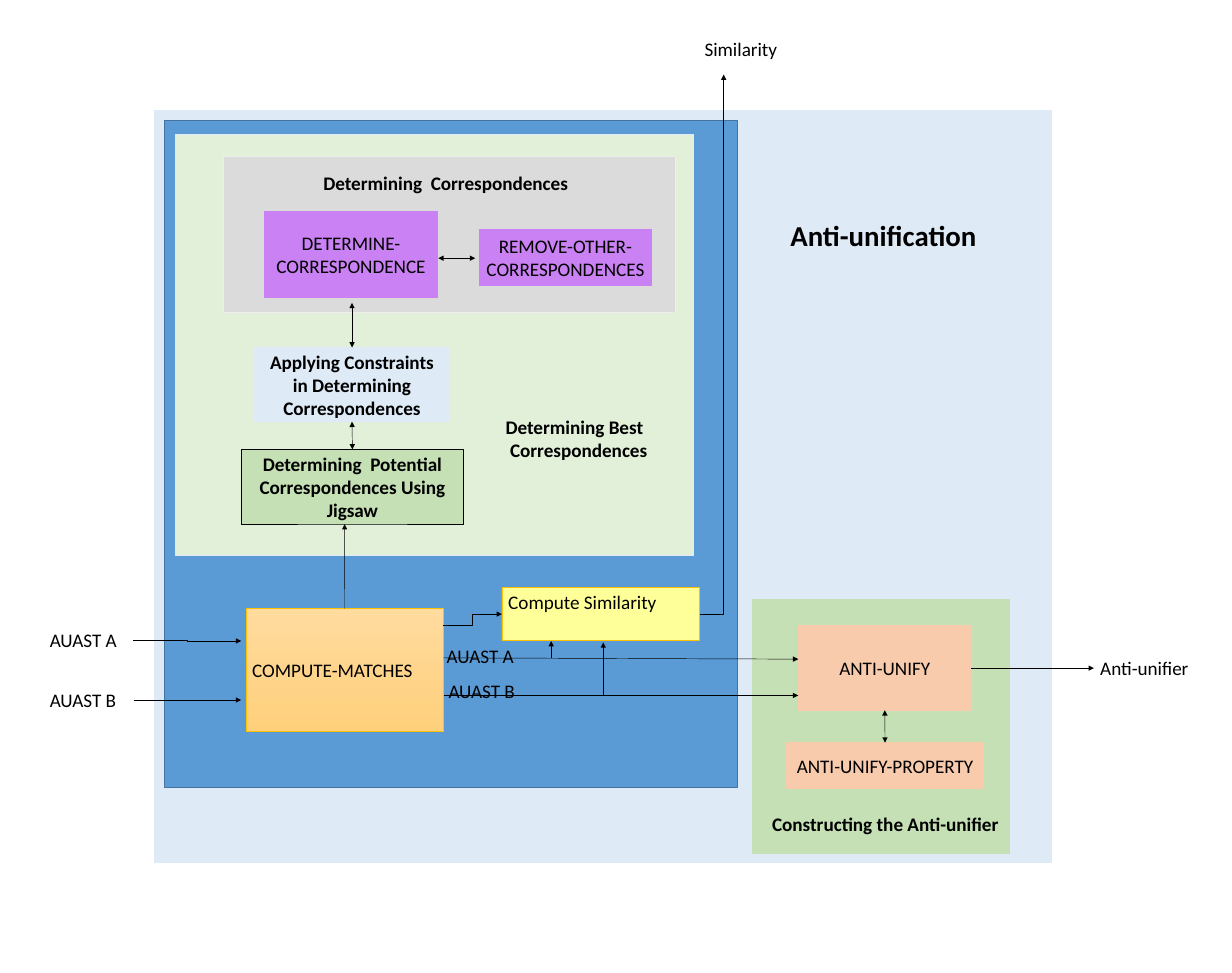
"""Build the anti-unification architecture diagram."""
from lxml import etree
from pptx import Presentation
from pptx import util as u
from pptx.dml.color import RGBColor
from pptx.enum import shapes, text
from pptx.oxml.ns import qn

FONT = "Calibri"
BODY, TITLE = 21.3, 32
COLORS = {
    "black": "000000", "pale blue": "DEEBF7", "blue": "5B9BD5",
    "dark blue": "43739E", "pale green": "E2F0D9", "green": "C5E0B4",
    "gray": "DBDBDB", "pale gray": "EDEDED", "purple": "CA81F3",
    "peach": "F8CBAD", "yellow": "FFFF99", "gold": "FFC000",
    "light orange": "FFDB9E", "orange": "FFD07C",
}
LEFT, CENTER = text.PP_ALIGN.LEFT, text.PP_ALIGN.CENTER
TOP, MIDDLE = text.MSO_ANCHOR.TOP, text.MSO_ANCHOR.MIDDLE

# name: (left, top, width, height), fill, line, line width
PANELS = {
    "anti-unification": ((6.07, 4.34, 35.1, 29.44), "pale blue", "pale blue", 1),
    "similarity": ((6.45, 4.72, 22.43, 26.11), "blue", "dark blue", 1),
    "best": ((6.86, 5.26, 20.32, 16.48), "pale green", "pale blue", 1),
    "correspondences": ((8.74, 6.12, 17.73, 6.12), "gray", "pale gray", 1),
    "constructing": ((29.46, 23.47, 10.08, 9.96), "green", "green", 1),
    "potential": ((9.45, 17.6, 8.71, 2.92), "green", "black", 1),
    "constraints": ((9.98, 13.61, 7.62, 2.9), "pale blue", "pale blue", 1),
    "remove": ((18.77, 8.99, 6.76, 2.18), "purple", "purple", 1),
    "determine": ((10.36, 8.28, 6.78, 3.35), "purple", "purple", 1),
    "anti-unify": ((31.27, 24.51, 6.78, 3.3), "peach", "peach", 1),
    "property": ((30.81, 29.08, 7.72, 1.78), "peach", "peach", 1),
    "matches": ((9.63, 23.83, 7.75, 4.8), ("light orange", "orange"), "gold", 0.5),
    "compute": ((19.66, 23.01, 7.75, 2.08), "yellow", "gold", 0.5),
}
# name: wording, bold, alignment, anchor
PANEL_TEXTS = {
    "potential": ("Determining  Potential Correspondences Using Jigsaw", True, CENTER, MIDDLE),
    "constraints": ("Applying Constraints in Determining Correspondences", True, CENTER, MIDDLE),
    "remove": ("REMOVE-OTHER-CORRESPONDENCES", False, CENTER, MIDDLE),
    "determine": ("DETERMINE-CORRESPONDENCE", False, CENTER, MIDDLE),
    "anti-unify": ("ANTI-UNIFY", False, CENTER, MIDDLE),
    "property": ("ANTI-UNIFY-PROPERTY", False, CENTER, MIDDLE),
    "matches": ("COMPUTE-MATCHES", False, LEFT, MIDDLE),
    "compute": ("Compute Similarity", False, LEFT, TOP),
}
# (left, top, width, height), lines, bold, alignment, size
LABELS = [
    ((10.21, 6.6, 14.5, 1.17), ["Determining  Correspondences"], True, CENTER, BODY),
    ((18.62, 16.13, 8.1, 2.08), ["Determining Best  ", "Correspondences"], True, CENTER, BODY),
    ((29.72, 31.67, 9.92, 1.17), ["Constructing the Anti-unifier"], True, CENTER, BODY),
    ((30.71, 8.41, 8.84, 1.63), ["Anti-unification"], True, LEFT, TITLE),
    ((27.18, 1.35, 4.5, 1.17), [" Similarity"], False, LEFT, BODY),
    ((42.85, 25.58, 4.5, 1.17), ["Anti-unifier"], False, LEFT, BODY),
    ((1.7, 24.49, 3.53, 1.17), ["AUAST A"], False, LEFT, BODY),
    ((1.7, 26.82, 3.53, 1.17), ["AUAST B"], False, LEFT, BODY),
    ((17.25, 25.1, 3.53, 1.17), ["AUAST A"], False, LEFT, BODY),
    ((17.32, 26.49, 3.53, 1.17), ["AUAST B"], False, LEFT, BODY),
]
# geometry, start, end, both heads, (panel, side) at start, (panel, side) at end
ARROWS = [
    ("line", (17.17, 10.11), (18.62, 10.11), True, None, None),
    ("line", (34.66, 27.81), (34.67, 29.08), True, ("anti-unify", 2), ("property", 0)),
    ("line", (13.8, 17.6), (13.79, 16.51), True, ("potential", 0), ("constraints", 2)),
    ("line", (13.79, 13.61), (13.79, 11.86), True, ("constraints", 0), None),
    ("line", (13.5, 23.83), (13.5, 20.52), False, ("matches", 0), None),
    ("line", (38.05, 26.16), (42.85, 26.16), False, ("anti-unify", 3), None),
    ("line", (17.38, 25.76), (31.27, 25.81), False, None, None),
    ("line", (17.38, 27.23), (31.27, 27.23), False, None, None),
    ("line", (21.59, 25.78), (21.59, 25.1), False, None, None),
    ("line", (23.63, 27.23), (23.63, 25.15), False, None, None),
    ("line", (5.23, 27.41), (9.45, 27.41), False, None, None),
    ("bentConnector3", (5.23, 25.07), (9.45, 25.1), False, None, None),
    ("bentConnector3", (17.35, 24.49), (19.66, 24.05), False, None, None),
    ("bentConnector2", (27.41, 24.05), (28.35, 2.92), False, None, None),
]


def rgb(name):
    return RGBColor.from_string(COLORS[name])


def lengths(values):
    return [u.Cm(value) for value in values]


def write(frame, lines, bold, align, size=BODY, anchor=TOP):
    frame.word_wrap = True
    frame.vertical_anchor = anchor
    for index, line in enumerate(lines):
        paragraph = frame.add_paragraph() if index else frame.paragraphs[0]
        paragraph.alignment = align
        run = paragraph.add_run()
        run.text = line
        run.font.name, run.font.size, run.font.bold = FONT, u.Pt(size), bold
        run.font.color.rgb = rgb("black")


def add_panel(slide, box, fill, line, width):
    shape = slide.shapes.add_shape(shapes.MSO_SHAPE.RECTANGLE, *lengths(box))
    shape.shadow.inherit = False
    if isinstance(fill, tuple):
        shape.fill.gradient()
        shape.fill.gradient_angle = 270
        for stop, color in zip(shape.fill.gradient_stops, fill):
            stop.color.rgb = rgb(color)
    else:
        shape.fill.solid()
        shape.fill.fore_color.rgb = rgb(fill)
    shape.line.color.rgb = rgb(line)
    shape.line.width = u.Pt(width)
    return shape


def add_arrow(slide, panels, geometry, start, end, both, source, target):
    kinds = shapes.MSO_CONNECTOR
    kind = kinds.STRAIGHT if geometry == "line" else kinds.ELBOW
    connector = slide.shapes.add_connector(kind, *lengths(start + end))
    if source:
        connector.begin_connect(panels[source[0]], source[1])
    if target:
        connector.end_connect(panels[target[0]], target[1])
    connector.line.color.rgb = rgb("black")
    connector.line.width = u.Pt(0.5)
    properties = connector._element.spPr
    properties.find(qn("a:prstGeom")).set("prst", geometry)
    line = properties.find(qn("a:ln"))
    for tag in ["a:headEnd", "a:tailEnd"] if both else ["a:tailEnd"]:
        etree.SubElement(line, qn(tag), type="triangle")
    etree.SubElement(properties, qn("a:effectLst"))


def main():
    presentation = Presentation()
    presentation.slide_width, presentation.slide_height = lengths((48.26, 38.1))
    slide = presentation.slides.add_slide(presentation.slide_layouts[6])
    panels = {name: add_panel(slide, *panel) for name, panel in PANELS.items()}
    for name, (words, bold, align, anchor) in PANEL_TEXTS.items():
        write(panels[name].text_frame, [words], bold, align, anchor=anchor)
    for arrow in ARROWS:
        add_arrow(slide, panels, *arrow)
    for box, lines, bold, align, size in LABELS:
        label = slide.shapes.add_textbox(*lengths(box))
        write(label.text_frame, lines, bold, align, size)
    presentation.save("out.pptx")


if __name__ == "__main__":
    main()
